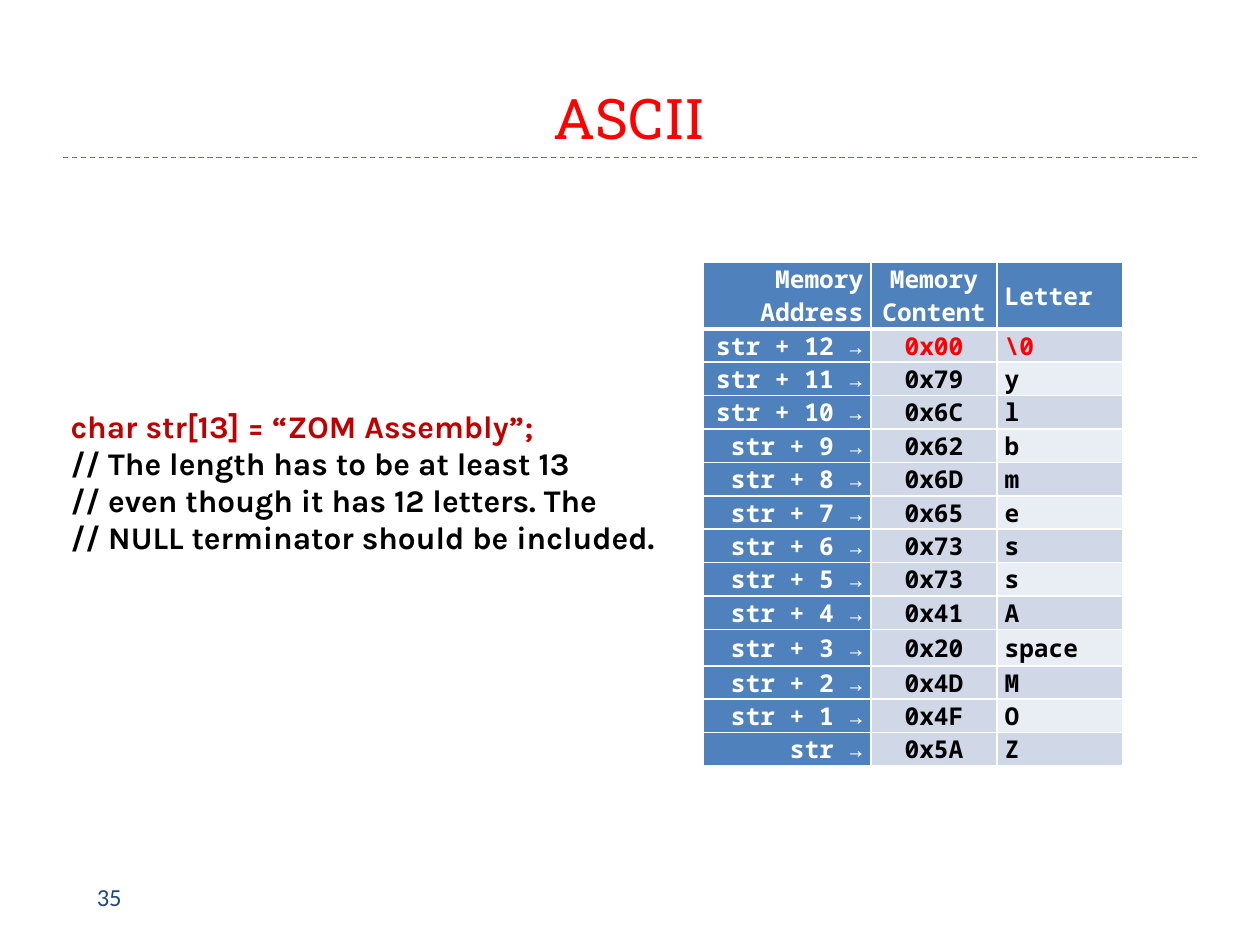
from lxml import etree
from pptx import Presentation
from pptx.dml.color import RGBColor
from pptx.enum.dml import MSO_LINE
from pptx.enum.shapes import MSO_CONNECTOR
from pptx.enum.text import MSO_ANCHOR, PP_ALIGN
from pptx.oxml.ns import qn
from pptx.util import Inches, Pt

STRAIGHT = MSO_CONNECTOR.STRAIGHT
DASH = MSO_LINE.DASH
MIDDLE, BOTTOM = MSO_ANCHOR.MIDDLE, MSO_ANCHOR.BOTTOM
LEFT, CENTER, RIGHT, JUSTIFY = PP_ALIGN.LEFT, PP_ALIGN.CENTER, PP_ALIGN.RIGHT, PP_ALIGN.JUSTIFY

WHITE, BLACK, RED, DARK_RED = "FFFFFF", "000000", "FF0000", "C00000"
BLUE, BAND, LIGHT_BAND = "4F81BD", "D0D8E8", "E9EDF4"
MONO = {"name": "Noto Sans Mono", "size": Pt(14), "bold": True}
CODE = {"name": "Karla", "size": Pt(18), "bold": True}
CELL = {"vertical_anchor": MIDDLE, "margin_left": Inches(0.06), "margin_right": Inches(0.06),
        "margin_top": 0, "margin_bottom": 0}

HEADERS = ["Memory Address", "Memory Content", "Letter"]
TABLE_HEIGHT, HEADER_HEIGHT, SPACE_HEIGHT = 4, 0.53, 0.29
STRING = "ZOM Assembly"
LETTER_NAMES = {"\0": "\\0", " ": "space"}
CODE_LINES = [
    (f"char str[13] = “{STRING}”;", DARK_RED),
    ("// The length has to be at least 13", BLACK),
    ("// even though it has 12 letters. The", BLACK),
    ("// NULL terminator should be included.", BLACK),
]


def rgb(value):
    """Turn a hex string into a colour."""
    return RGBColor.from_string(value)


def apply(target, values):
    """Set attributes from a dict of format values."""
    for name, value in values.items():
        setattr(target, name, value)


def write_lines(frame, lines, font, align=LEFT):
    """Write (text, colour) pairs as the paragraphs of a text frame."""
    for index, (text, color) in enumerate(lines):
        para = frame.add_paragraph() if index else frame.paragraphs[0]
        para.alignment = align
        span = para.add_run()
        span.text = text
        apply(span.font, font)
        span.font.color.rgb = rgb(color)


def add_border(cell, side, width):
    """Draw a white border on one side of a cell."""
    line = etree.SubElement(cell._tc.get_or_add_tcPr(), qn(f"a:ln{side}"), w=str(Pt(width)))
    fill = etree.SubElement(line, qn("a:solidFill"))
    etree.SubElement(fill, qn("a:srgbClr"), val=WHITE)


def format_cell(cell, fill, top=1, bottom=1):
    """Give a cell its margins, borders and fill."""
    apply(cell, CELL)
    for side, width in {"L": 1, "R": 1, "T": top, "B": bottom}.items():
        add_border(cell, side, width)
    cell.fill.solid()
    cell.fill.fore_color.rgb = rgb(fill)


def add_plain_table(page, left, top, widths, heights):
    """Add a table without banding and with the given column and row sizes."""
    table = page.shapes.add_table(len(heights), len(widths), Inches(left), Inches(top),
                                  Inches(sum(widths)), Inches(sum(heights))).table
    apply(table, {"first_row": False, "horz_banding": False})
    for column, width in zip(table.columns, widths):
        column.width = Inches(width)
    for row, height in zip(table.rows, heights):
        row.height = Inches(height)
    return table


def add_title(page, text):
    """Place and format the title."""
    title = page.shapes.title
    apply(title, {"left": Inches(0.5), "top": Inches(0.17),
                  "width": Inches(9), "height": Inches(1.08)})
    title.text_frame.vertical_anchor = BOTTOM
    write_lines(title.text_frame, [(text, RED)], {"name": "Roboto Slab", "size": Pt(32)}, CENTER)


def add_title_rule(page):
    """Draw the dashed rule below the title."""
    rule = page.shapes.add_connector(STRAIGHT, Inches(0.5), Inches(1.25), Inches(9.5), Inches(1.25))
    rule.line.color.rgb = rgb("C0504D")
    apply(rule.line, {"width": Pt(0.75), "dash_style": DASH})
    etree.SubElement(rule._element.spPr, qn("a:effectLst"))


def add_page_number(page, number):
    """Write the page number at the bottom left."""
    box = page.shapes.add_textbox(Inches(0.67), Inches(6.95), Inches(2.17), Inches(0.4))
    box.text_frame.word_wrap = True
    write_lines(box.text_frame, [(number, "1F497D")], {"name": "Calibri", "size": Pt(14)})


def add_memory_table(page):
    """List the bytes of the string from the highest address down."""
    rows = [HEADERS]
    for offset, letter in reversed(list(enumerate(STRING + "\0"))):
        address = f"str + {offset} →" if offset else "str →"
        rows.append([address, f"0x{ord(letter):02X}", LETTER_NAMES.get(letter, letter)])
    row_height = (TABLE_HEIGHT - HEADER_HEIGHT - SPACE_HEIGHT) / (len(rows) - 2)
    heights = [HEADER_HEIGHT] + [SPACE_HEIGHT if row[2] == "space" else row_height
                                 for row in rows[1:]]
    table = add_plain_table(page, 5.58, 2.08, [4 / 3, 1, 1], heights)
    for r, row in enumerate(rows):
        fills = [BLUE, BAND, BAND if r % 2 else LIGHT_BAND] if r else [BLUE] * 3
        value_color = {0: WHITE, 1: RED}.get(r, BLACK)
        colors = [WHITE, value_color, value_color]
        for c, align in enumerate([RIGHT, CENTER, JUSTIFY]):
            cell = table.cell(r, c)
            format_cell(cell, fills[c], top=3 if r == 1 else 1, bottom=1 if r else 3)
            write_lines(cell.text_frame, [(row[c], colors[c])], MONO, align)


def add_code_table(page):
    """Show the declaration and its comment in a one-cell table."""
    cell = add_plain_table(page, 0.5, 3.17, [4.83], [1.33]).cell(0, 0)
    format_cell(cell, WHITE, bottom=3)
    write_lines(cell.text_frame, CODE_LINES, CODE)


def main():
    """Build the deck and save it."""
    deck = Presentation()
    deck.slide_width, deck.slide_height = Inches(10), Inches(7.5)
    page = deck.slides.add_slide(deck.slide_layouts[5])
    add_title_rule(page)
    add_title(page, "ASCII")
    add_page_number(page, "35")
    add_memory_table(page)
    add_code_table(page)
    deck.save("out.pptx")


if __name__ == "__main__":
    main()
